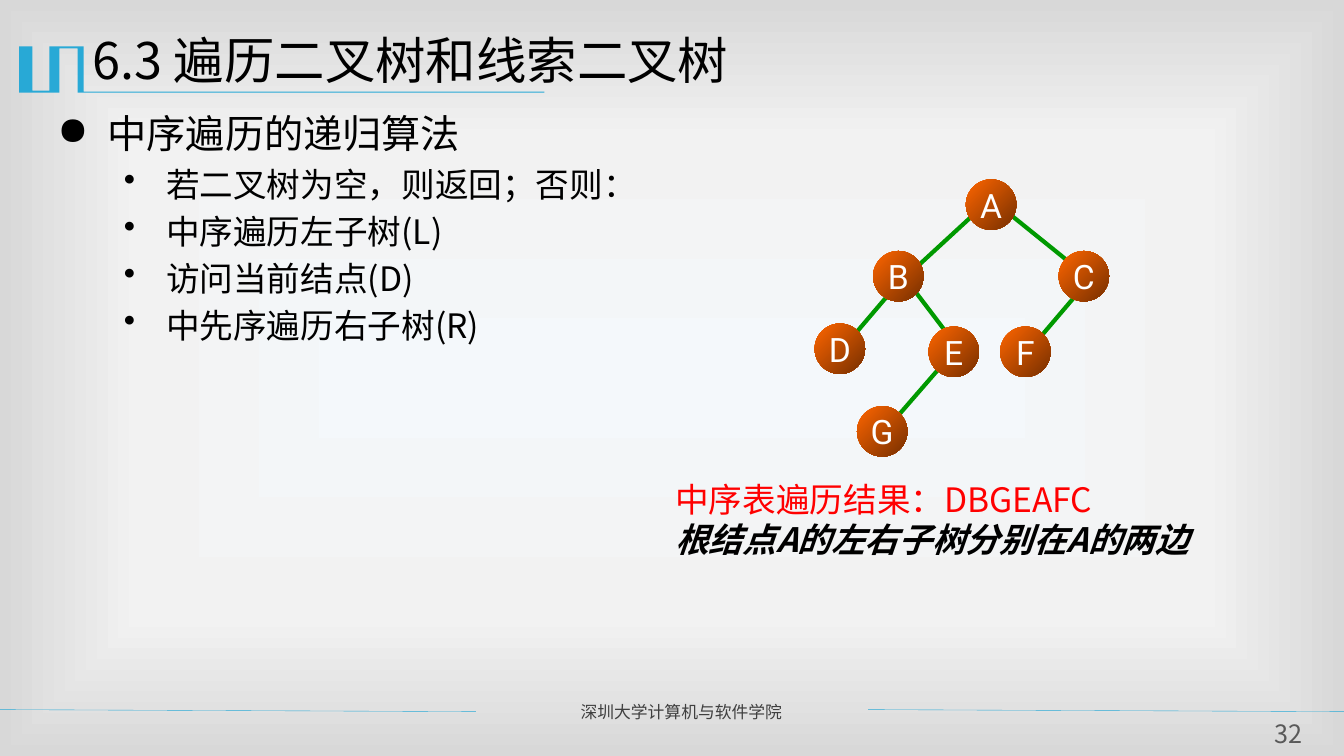
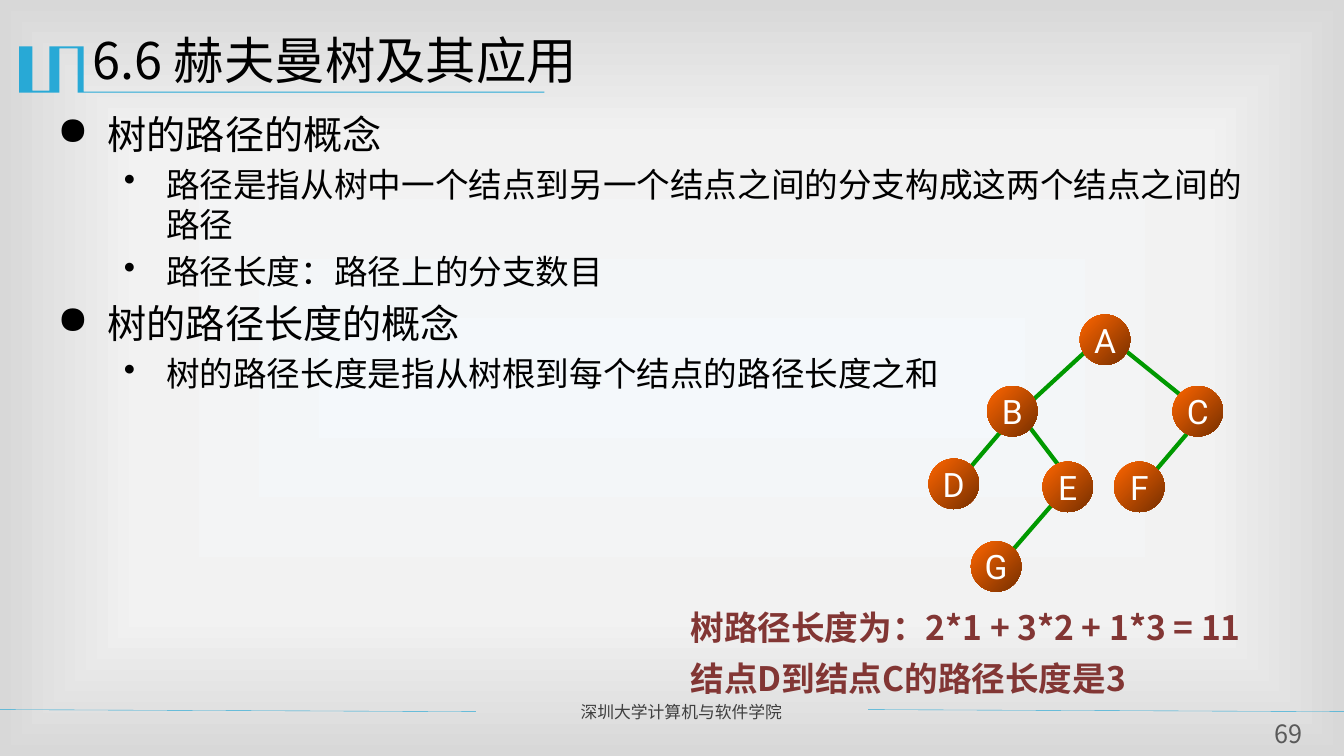
from lxml import etree
from pptx import Presentation
from pptx.dml.color import RGBColor
from pptx.enum.shapes import MSO_CONNECTOR as CONN, MSO_SHAPE as SHAPE
from pptx.enum.text import MSO_ANCHOR as ANCHOR, PP_ALIGN as ALIGN
from pptx.oxml.ns import qn
from pptx.util import Inches, Pt

COLORS = {
    "accent": "28A9D6", "black": "000000", "footer": "3F3F3F", "number": "595959",
    "edge": "009900", "node_light": "FF6600", "node_dark": "762F00",
    "white": "FFFFFF", "red": "FF0000", "maroon": "823634",
    "bg_center": "F4F8FB", "bg_middle": "F2F2F2", "bg_edge": "D8D8D8",
}
CJK = "Noto Sans CJK SC"
LATIN = "Roboto"
BULLETS = {1: ("●", 28, 0.5, 0.5), 2: ("•", 24, 1.08, 0.42)}
EMBLEM = [
    (0.19, 0.46), (0.32, 0.46), (0.32, 0.9), (0.49, 0.9), (0.49, 0.46),
    (0.83, 0.46), (0.83, 0.91), (5.4, 0.91), (5.4, 0.92), (0.77, 0.92),
    (0.77, 0.48), (0.59, 0.48), (0.59, 0.92), (0.19, 0.92),
]
NODE_SIZE = 0.5
NODES = {
    "A": (0, 0), "B": (-0.92, 0.71), "C": (0.92, 0.71), "D": (-1.5, 1.43),
    "E": (-0.37, 1.46), "F": (0.34, 1.46), "G": (-1.08, 2.25),
}
EDGES = [
    (0.38, 0.3, 1, 0.8), (0.13, 0.3, -0.5, 0.88), (-0.62, 0.97, -1.08, 1.51),
    (-0.58, 1.01, -0.2, 1.51), (1.21, 1.01, 0.75, 1.55), (-0.2, 1.8, -0.66, 2.33),
]


def rgb(name):
    return RGBColor.from_string(COLORS[name])


def set_gradient(fill, stops, path=False):
    fill.gradient()
    grad = fill._fill._gradFill
    for child in list(grad):
        grad.remove(child)
    gs_lst = etree.SubElement(grad, qn("a:gsLst"))
    for pos, color in stops:
        gs = etree.SubElement(gs_lst, qn("a:gs"), pos=str(pos * 1000))
        etree.SubElement(gs, qn("a:srgbClr"), val=COLORS[color])
    if path:
        rect = etree.SubElement(grad, qn("a:path"), path="rect")
        etree.SubElement(rect, qn("a:fillToRect"), dict.fromkeys("ltrb", "50000"))
    else:
        etree.SubElement(grad, qn("a:lin"), ang="2700000", scaled="1")


def style(p, size, color, font=CJK, bold=False, italic=False):
    for r in p.runs:
        f = r.font
        f.size, f.bold, f.italic, f.name = Pt(size), bold, italic, font
        f.color.rgb = rgb(color)
        etree.SubElement(r._r.get_or_add_rPr(), qn("a:ea"), typeface=font)


def set_indent(p, left, hanging):
    pPr = p._p.get_or_add_pPr()
    pPr.set("marL", str(Inches(left)))
    pPr.set("indent", str(-Inches(hanging)))
    return pPr


def add_text(slide, x, y, w, h, lines):
    tf = slide.shapes.add_textbox(Inches(x), Inches(y), Inches(w), Inches(h)).text_frame
    tf.word_wrap = True
    for i, line in enumerate(lines):
        p = tf.paragraphs[0] if i == 0 else tf.add_paragraph()
        p.text = line
    return tf


def add_line(slide, x1, y1, x2, y2, color, width):
    line = slide.shapes.add_connector(
        CONN.STRAIGHT, Inches(x1), Inches(y1), Inches(x2), Inches(y2))
    line.line.color.rgb = rgb(color)
    line.line.width = Pt(width)
    etree.SubElement(line._element.spPr, qn("a:effectLst"))


def add_emblem(slide):
    points = [(Inches(x), Inches(y)) for x, y in EMBLEM]
    builder = slide.shapes.build_freeform(*points[0])
    builder.add_line_segments(points[1:], close=True)
    sp = builder.convert_to_shape()
    sp.shadow.inherit = False
    sp.fill.solid()
    sp.fill.fore_color.rgb = rgb("accent")
    sp.line.fill.background()


def add_base(prs, title, number):
    slide = prs.slides.add_slide(prs.slide_layouts[6])
    set_gradient(slide.background.fill,
                 [(0, "bg_center"), (63, "bg_middle"), (100, "bg_edge")], path=True)
    add_emblem(slide)
    for x1, x2 in ((-0.01, 4.72), (8.61, 13.33)):
        add_line(slide, x1, 7.04, x2, 7.06, "accent", 0.25)
    p = add_text(slide, 5.66, 6.91, 2.85, 0.3, ["深圳大学计算机与软件学院"]).paragraphs[0]
    p.alignment = ALIGN.JUSTIFY
    style(p, 12, "footer")
    p = add_text(slide, 0.82, 0.24, 12, 0.87, [title]).paragraphs[0]
    set_indent(p, 1.33, 1.33)
    style(p, 36, "black")
    tf = add_text(slide, 12.48, 7.13, 0.59, 0.31, [number])
    tf.margin_left = tf.margin_right = tf.margin_top = tf.margin_bottom = 0
    p = tf.paragraphs[0]
    p.alignment = ALIGN.CENTER
    style(p, 18, "number")
    return slide


def add_bullets(slide, height, items):
    tf = add_text(slide, 0.47, 1.04, 12.13, height, [text for _, text in items])
    for i, (p, (level, _)) in enumerate(zip(tf.paragraphs, items)):
        char, size, left, hanging = BULLETS[level]
        pPr = set_indent(p, left, hanging)
        etree.SubElement(pPr, qn("a:buChar"), char=char)
        if i:
            p.space_before = Pt(size * 0.2)
        style(p, size, "black")


def add_node(slide, x, y, label):
    sp = slide.shapes.add_shape(
        SHAPE.OVAL, Inches(x), Inches(y), Inches(NODE_SIZE), Inches(NODE_SIZE))
    sp.shadow.inherit = False
    set_gradient(sp.fill, [(0, "node_light"), (100, "node_dark")])
    sp.line.fill.background()
    tf = sp.text_frame
    tf.text = label
    tf.word_wrap = False
    tf.margin_left = tf.margin_right = 0
    tf.vertical_anchor = ANCHOR.MIDDLE
    p = tf.paragraphs[0]
    p.alignment = ALIGN.CENTER
    style(p, 24, "white", LATIN)


def add_tree(slide, x, y):
    for x1, y1, x2, y2 in EDGES:
        add_line(slide, x + x1, y + y1, x + x2, y + y2, "edge", 3)
    for label, (dx, dy) in NODES.items():
        add_node(slide, x + dx, y + dy, label)


def add_traversal_slide(prs):
    slide = add_base(prs, "6.3 遍历二叉树和线索二叉树", "32")
    add_bullets(slide, 5.63, [
        (1, "中序遍历的递归算法"),
        (2, "若二叉树为空，则返回；否则："),
        (2, "中序遍历左子树(L)"),
        (2, "访问当前结点(D)"),
        (2, "中先序遍历右子树(R)"),
    ])
    add_tree(slide, 9.58, 1.78)
    tf = add_text(slide, 6.6, 4.7, 5.59, 0.91, [
        "中序表遍历结果：DBGEAFC", "根结点A的左右子树分别在A的两边"])
    result, remark = tf.paragraphs
    for p in (result, remark):
        set_indent(p, 0.67, 0.67)
    style(result, 24, "red")
    style(remark, 24, "black", bold=True, italic=True)


def add_path_slide(prs):
    slide = add_base(prs, "6.6 赫夫曼树及其应用", "69")
    add_bullets(slide, 2.25, [
        (1, "树的路径的概念"),
        (2, "路径是指从树中一个结点到另一个结点之间的分支构成这两个结点之间的路径"),
        (2, "路径长度：路径上的分支数目"),
        (1, "树的路径长度的概念"),
        (2, "树的路径长度是指从树根到每个结点的路径长度之和"),
    ])
    add_tree(slide, 10.71, 3.12)
    tf = add_text(slide, 6.75, 6.02, 6.26, 0.97, [
        "树路径长度为：2*1 + 3*2 + 1*3 = 11", "结点D到结点C的路径长度是3"])
    for p in tf.paragraphs:
        p.line_spacing = 0.9
        style(p, 24, "maroon", bold=True)
    tf.paragraphs[1].space_before = Pt(10)


def main():
    prs = Presentation()
    prs.slide_width, prs.slide_height = Inches(13.33), Inches(7.5)
    add_traversal_slide(prs)
    add_path_slide(prs)
    prs.save("out.pptx")


if __name__ == "__main__":
    main()
